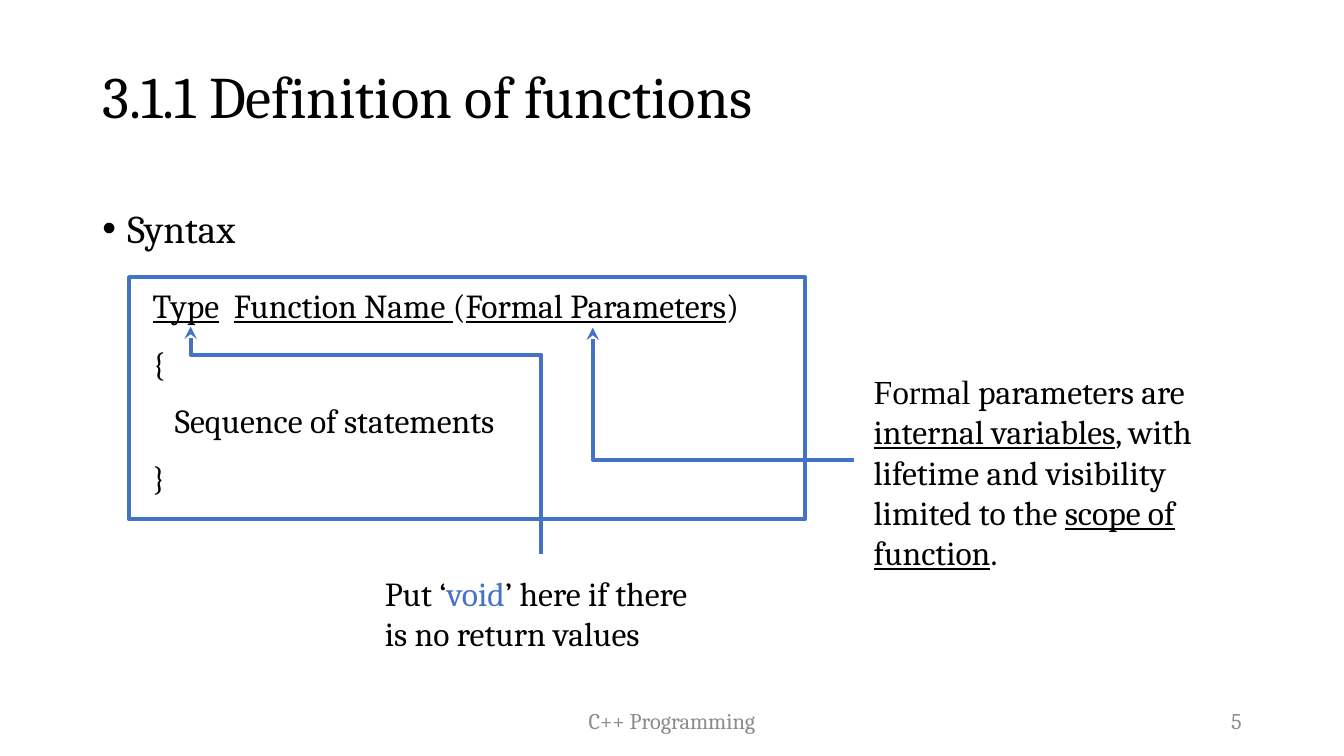
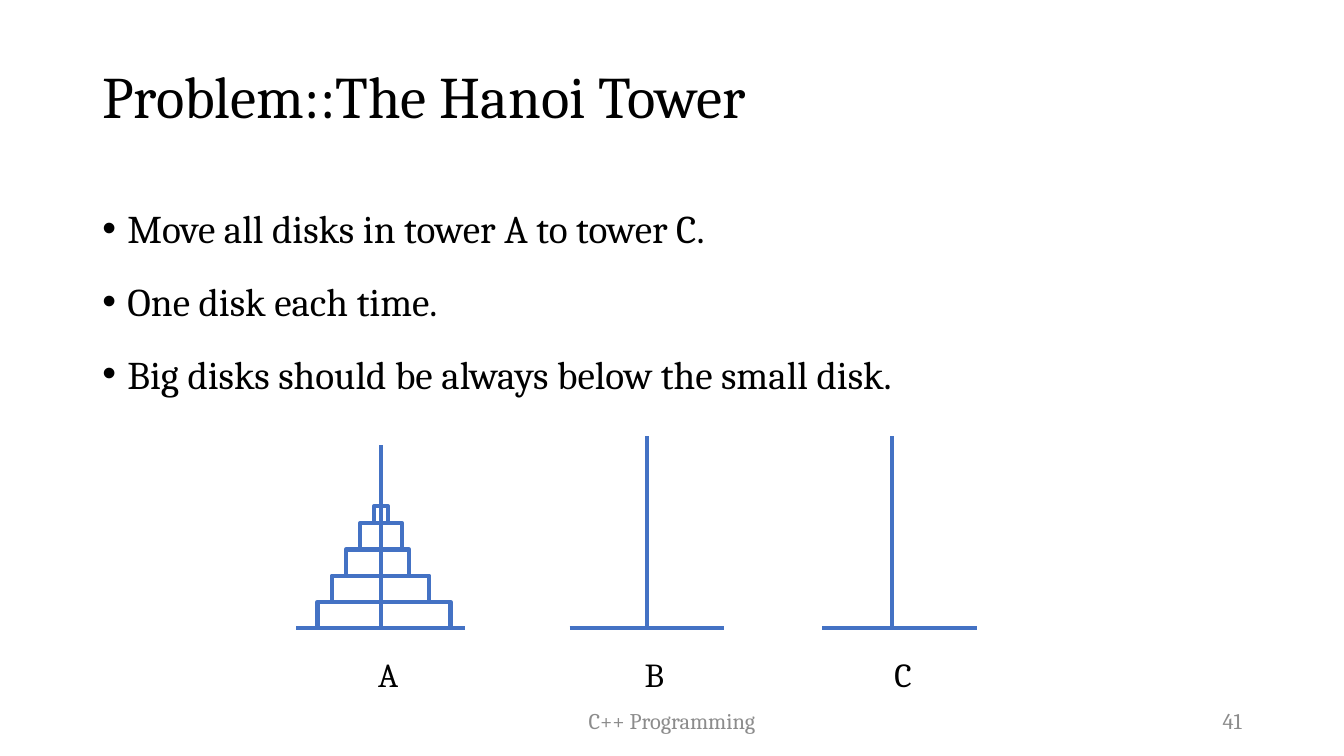
from dataclasses import dataclass

from lxml.etree import SubElement
from pptx import Presentation
from pptx.dml.color import RGBColor
from pptx.enum.shapes import MSO_CONNECTOR, MSO_SHAPE
from pptx.enum.text import MSO_ANCHOR, PP_ALIGN
from pptx.oxml.ns import qn
from pptx.util import Pt


@dataclass(frozen=True)
class Theme:
    font: str = "Cambria"
    contrast_font: str = "Times New Roman"
    bullet_font: str = "Arial"
    ink: RGBColor = RGBColor(0x00, 0x00, 0x00)
    accent: RGBColor = RGBColor(0x44, 0x72, 0xC4)
    muted: RGBColor = RGBColor(0x8C, 0x8C, 0x8C)
    title_size: int = 42
    body_size: int = 28
    detail_size: int = 24
    footer_size: int = 16
    line_width: int = 3


THEME = Theme()

# Shared frame: left, top, width, height in points
SLIDE_SIZE = (960, 540)
TITLE_BOX = (66, 18.7, 828, 104.4)
BODY_BOX = (66, 134, 828, 342.6)
FOOTER_BOX = (318, 500.4, 324, 28.8)
NUMBER_BOX = (678, 500.4, 216, 28.8)
FOOTER = "C++ Programming"

# Run formats used in the content
UNDERLINED = {"underline": True}
ACCENTED = {"color": THEME.accent}
CONTRASTED = {"font": THEME.contrast_font}

# Content: a paragraph is a list of (text, format) runs or a plain string
SYNTAX = {
    "title": "3.1.1 Definition of functions",
    "number": "5",
    "bullets": ["Syntax"],
    "code": [
        [("Type", UNDERLINED), ("  ", {}), ("Function Name ", UNDERLINED),
         ("(", {}), ("Formal Parameters", UNDERLINED), (")", {})],
        "{",
        "   Sequence of statements",
        "}",
    ],
    "code_frame": (92.2, 198, 483, 172.8),
    "notes": [
        ((617, 261.4, 273.6, 152.6),
         [[("Formal", CONTRASTED), (" parameters are ", {}),
           ("internal variables", UNDERLINED),
           (", with lifetime and visibility limited to the ", {}),
           ("scope of function", UNDERLINED), (".", {})]]),
        ((267.8, 405.4, 256.3, 65.5),
         [[("Put ‘", {}), ("void", ACCENTED), ("’ here if there", {})],
          "is no return values"]),
    ],
    "arrows": [
        [(423.4, 234), (423.4, 328.3), (609.8, 328.3)],
        [(136.2, 233.3), (136.2, 253.4), (386.6, 253.4), (386.6, 396)],
    ],
}
HANOI = {
    "title": "Problem::The Hanoi Tower",
    "number": "41",
    "bullets": [
        "Move all disks in tower A to tower C.",
        "One disk each time.",
        "Big disks should be always below the small disk.",
    ],
    # name, base left, base right, pole x, pole top, label center
    "towers": [
        ("A", 211.7, 331.9, 272.2, 318.2, 277.2),
        ("B", 406.8, 517, 462.2, 311.8, 467.3),
        ("C", 587.5, 697.7, 637.2, 311.8, 645.1),
    ],
    # width, height from the bottom disk up
    "disks": [(95, 18.7), (69.8, 18.7), (45.4, 18.7), (30.2, 18.7), (10, 12.2)],
}
BASE_Y = 448.6
LABEL_TOP, LABEL_WIDTH, LABEL_HEIGHT = 463.7, 60, 36.7
DISK_LEFT, DISK_STEP = 226.8, 10.1


def points(values):
    return [Pt(value) for value in values]


def add_paragraph(frame, content, *, size, color=THEME.ink, align=PP_ALIGN.LEFT,
                  line_spacing=1.0, before=0, after=0, margin=0, indent=0, bullet=None):
    first = frame.paragraphs[0]
    is_first = not first.runs
    paragraph = first if is_first else frame.add_paragraph()
    properties = paragraph._p.get_or_add_pPr()
    properties.set("marL", str(Pt(margin)))
    properties.set("indent", str(Pt(indent)))
    if bullet:
        SubElement(properties, qn("a:buFont"), typeface=THEME.bullet_font)
        SubElement(properties, qn("a:buChar"), char=bullet)
    paragraph.alignment = align
    paragraph.line_spacing = line_spacing
    paragraph.space_before = Pt(0 if is_first else before)
    paragraph.space_after = Pt(after)
    for text, style in [(content, {})] if isinstance(content, str) else content:
        run = paragraph.add_run()
        run.text = text
        run.font.size = Pt(size)
        run.font.name = style.get("font", THEME.font)
        run.font.color.rgb = style.get("color", color)
        run.font.underline = style.get("underline", False)


def add_text(slide, box, paragraphs, *, anchor=MSO_ANCHOR.TOP, **paragraph_format):
    frame = slide.shapes.add_textbox(*points(box)).text_frame
    frame.word_wrap = True
    frame.vertical_anchor = anchor
    for content in paragraphs:
        add_paragraph(frame, content, **paragraph_format)
    return frame


def style_line(shape):
    shape.line.color.rgb = THEME.accent
    shape.line.width = Pt(THEME.line_width)


def add_outline(slide, box):
    shape = slide.shapes.add_shape(MSO_SHAPE.RECTANGLE, *points(box))
    shape.shadow.inherit = False
    shape.fill.background()
    style_line(shape)


def add_line(slide, start, end):
    line = slide.shapes.add_connector(MSO_CONNECTOR.STRAIGHT, *points(start + end))
    style_line(line)
    SubElement(line._element.spPr, qn("a:effectLst"))


def add_bent_arrow(slide, vertices):
    start, *others = [points(vertex) for vertex in vertices]
    builder = slide.shapes.build_freeform(*start)
    builder.add_line_segments(others, close=False)
    shape = builder.convert_to_shape()
    shape.shadow.inherit = False
    shape.fill.background()
    style_line(shape)
    SubElement(shape.line._get_or_add_ln(), qn("a:headEnd"), type="stealth")


def add_framed_slide(presentation, content, *, after=0):
    """Add title, footer, number and bullets; return slide and body frame."""
    slide = presentation.slides.add_slide(presentation.slide_layouts[6])
    add_text(slide, TITLE_BOX, [content["title"]], size=THEME.title_size,
             line_spacing=0.9, anchor=MSO_ANCHOR.MIDDLE)
    for box, text, align in ((FOOTER_BOX, FOOTER, PP_ALIGN.CENTER),
                             (NUMBER_BOX, content["number"], PP_ALIGN.RIGHT)):
        add_text(slide, box, [text], size=THEME.footer_size, color=THEME.muted,
                 align=align, anchor=MSO_ANCHOR.MIDDLE)
    body = add_text(slide, BODY_BOX, content["bullets"], size=THEME.body_size,
                    line_spacing=1.25, before=10, after=after,
                    margin=18, indent=-18, bullet="•")
    return slide, body


def build_syntax_slide(presentation):
    slide, body = add_framed_slide(presentation, SYNTAX, after=12)
    for code_line in SYNTAX["code"]:
        add_paragraph(body, code_line, size=THEME.detail_size, line_spacing=1.25,
                      before=5, margin=54, indent=-18)
    add_outline(slide, SYNTAX["code_frame"])
    for box, paragraphs in SYNTAX["notes"]:
        add_text(slide, box, paragraphs, size=THEME.detail_size)
    for vertices in SYNTAX["arrows"]:
        add_bent_arrow(slide, vertices)


def build_hanoi_slide(presentation):
    slide, _ = add_framed_slide(presentation, HANOI)
    # Towers with their labels
    for name, left, right, pole, top, center in HANOI["towers"]:
        add_line(slide, (left, BASE_Y), (right, BASE_Y))
        add_line(slide, (pole, BASE_Y), (pole, top))
        label_box = (center - LABEL_WIDTH / 2, LABEL_TOP, LABEL_WIDTH, LABEL_HEIGHT)
        add_text(slide, label_box, [name], size=THEME.detail_size, align=PP_ALIGN.CENTER)
    # Disks stacked upward from the base
    top = BASE_Y
    for index, (width, height) in enumerate(HANOI["disks"]):
        top -= height
        add_outline(slide, (DISK_LEFT + index * DISK_STEP, top, width, height))


def main():
    presentation = Presentation()
    presentation.slide_width, presentation.slide_height = points(SLIDE_SIZE)
    build_syntax_slide(presentation)
    build_hanoi_slide(presentation)
    presentation.save("out.pptx")


if __name__ == "__main__":
    main()
